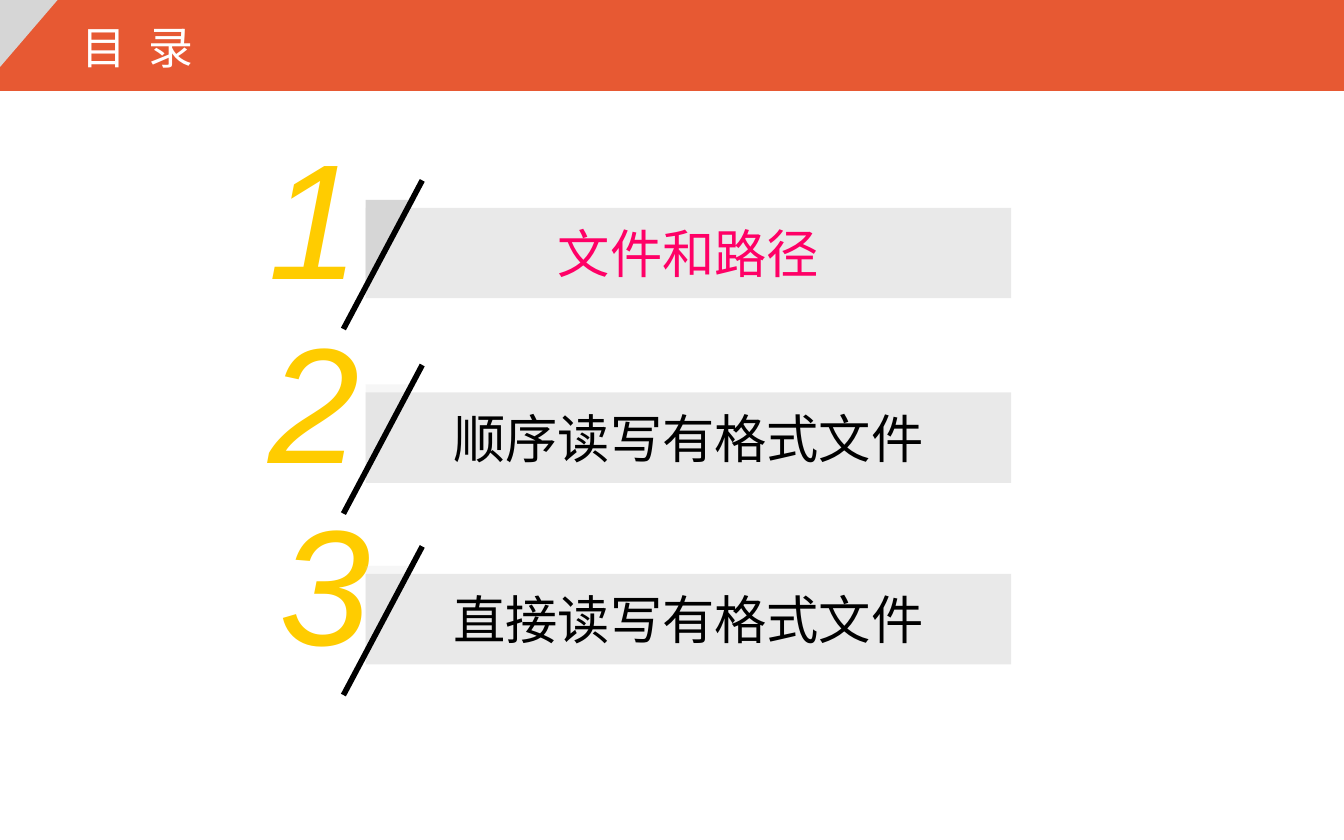
"""Build the contents slide: an orange title band above three numbered topics."""
import pptx
import pptx.util
import pptx.dml.color
import pptx.oxml
import pptx.oxml.ns
import pptx.enum.shapes
import pptx.enum.text

Cm, Pt = pptx.util.Cm, pptx.util.Pt
SHAPE = pptx.enum.shapes.MSO_SHAPE
ALIGN = pptx.enum.text.PP_ALIGN
FIT = pptx.enum.text.MSO_AUTO_SIZE.SHAPE_TO_FIT_TEXT
MIDDLE = pptx.enum.text.MSO_ANCHOR.MIDDLE

TITLE = [("目", 0), (" ", 6), ("录", 0)]
TITLE_FONT = {"size": Pt(24), "name": "Noto Sans Mono"}
NUMBER_FONT = {"size": Pt(88), "name": "Arial", "italic": True}
TOPICS = [
    {"text": "文件和路径", "font": "Noto Sans Mono", "color": "FF0066",
     "top": 3.93, "number_left": 4.83, "corner_alpha": 100},
    {"text": "顺序读写有格式文件", "font": "Noto Sans Mono", "color": "000000",
     "top": 7.42, "number_left": 4.83, "corner_alpha": 20},
    {"text": "直接读写有格式文件", "font": "Arial", "color": "000000",
     "top": 10.85, "number_left": 5.03, "corner_alpha": 20},
]
BAR_LEFT, BAR_WIDTH, BAR_HEIGHT = 6.91, 12.2, 1.71


def rgb(value):
    return pptx.dml.color.RGBColor.from_string(value)


def add_shape(s, kind, box, color, alpha=100, flip=False):
    sp = s.shapes.add_shape(kind, *map(Cm, box))
    sp.shadow.inherit = False
    sp.fill.solid()
    sp.fill.fore_color.rgb = rgb(color)
    sp.line.fill.background()
    if alpha < 100:
        clr = sp._element.spPr.find(".//" + pptx.oxml.ns.qn("a:srgbClr"))
        pptx.oxml.ns.qn("a:alpha")
        clr.append(pptx.oxml.parse_xml(
            f'<a:alpha {pptx.oxml.ns.nsdecls("a")} val="{alpha * 1000}"/>'))
    if flip:
        sp._element.spPr.xfrm.set("flipV", "1")
    return sp


def add_text(sp, runs, font, color, wrap=True, **frame):
    tf = sp.text_frame
    tf.word_wrap = wrap
    for name, value in frame.items():
        setattr(tf, name, value)
    p = tf.paragraphs[0]
    for text, spacing in runs:
        r = p.add_run()
        r.text = text
        for name, value in font.items():
            setattr(r.font, name, value)
        r.font.color.rgb = rgb(color)
        if spacing:
            r._r.get_or_add_rPr().set("spc", str(spacing * 100))
    return p


def add_slash(s, top):
    ends = 7.98, top - 0.52, 6.49, top + 2.29
    line = s.shapes.add_connector(pptx.enum.shapes.MSO_CONNECTOR.STRAIGHT, *map(Cm, ends))
    line.line.width = Pt(3)
    line.line.color.rgb = rgb("000000")
    line._element.spPr.append(
        pptx.oxml.parse_xml(f'<a:effectLst {pptx.oxml.ns.nsdecls("a")}/>'))


def add_topic(s, number, topic):
    top = topic["top"]
    box = s.shapes.add_textbox(*map(Cm, (topic["number_left"], top - 1.88, 2.24, 3.99)))
    add_text(box, [(str(number), 0)], NUMBER_FONT, "FFCC00", wrap=False, auto_size=FIT)
    bar = add_shape(s, SHAPE.RECTANGLE, (BAR_LEFT, top, BAR_WIDTH, BAR_HEIGHT), "949494", 20)
    p = add_text(bar, [(topic["text"], 0)], {"size": Pt(28), "name": topic["font"]},
                 topic["color"], vertical_anchor=MIDDLE)
    p.alignment = ALIGN.CENTER
    add_shape(s, SHAPE.RIGHT_TRIANGLE, (BAR_LEFT, top - 0.15, 0.94, 1.69),
              "D6D6D6", topic["corner_alpha"], flip=True)
    add_slash(s, top)


def main():
    prs = pptx.Presentation()
    prs.slide_width, prs.slide_height = Cm(25.4), Cm(15.88)
    s = prs.slides.add_slide(prs.slide_layouts[6])
    add_shape(s, SHAPE.RECTANGLE, (0, 0, 25.4, 1.72), "E75933")
    add_shape(s, SHAPE.RIGHT_TRIANGLE, (0, 0, 1.09, 1.27), "D6D6D6", flip=True)
    for number, topic in enumerate(TOPICS, 1):
        add_topic(s, number, topic)
    title = s.shapes.add_textbox(*map(Cm, (1.3, 0.25, 8.61, 1.27)))
    add_text(title, TITLE, TITLE_FONT, "FFFFFF", auto_size=FIT)
    prs.save("out.pptx")


if __name__ == "__main__":
    main()
